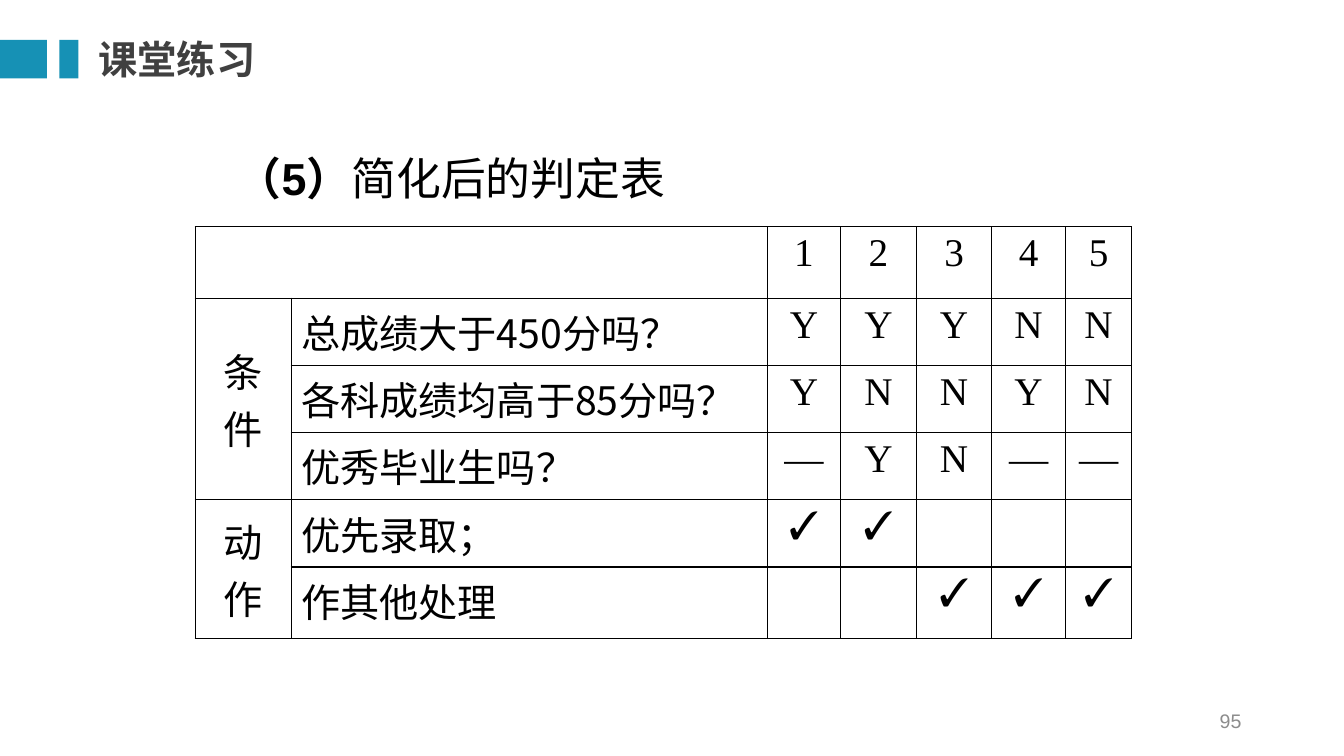
from lxml import etree
from pptx import Presentation
from pptx.dml.color import RGBColor
from pptx.enum.shapes import MSO_SHAPE
from pptx.enum.text import MSO_ANCHOR, MSO_AUTO_SIZE, PP_ALIGN
from pptx.oxml.ns import qn
from pptx.util import Pt

RECTANGLE = MSO_SHAPE.RECTANGLE
TOP, MIDDLE = MSO_ANCHOR.TOP, MSO_ANCHOR.MIDDLE
LEFT, CENTER, RIGHT = PP_ALIGN.LEFT, PP_ALIGN.CENTER, PP_ALIGN.RIGHT
NO_FIT = MSO_AUTO_SIZE.NONE

HAN, SERIF, SANS, LATIN = "Noto Sans CJK SC", "Times New Roman", "Arial", "Calibri"


def color(value):
    return RGBColor.from_string(value)


def write(paragraph, text, font=HAN, east_asian=HAN, size=28, ink="000000",
          bold=False, align=LEFT):
    paragraph.alignment = align
    run = paragraph.add_run()
    run.text = text
    run.font.size = Pt(size)
    run.font.bold = bold
    run.font.color.rgb = color(ink)
    run.font.name = font
    properties = run._r.get_or_add_rPr()
    etree.SubElement(properties, qn("a:ea"), typeface=east_asian)


class SlideBuilder:
    accent = "1691B5"
    heading_ink = "404040"
    number_ink = "8C8C8C"
    border_ink = "000000"

    def __init__(self, slide):
        self.slide = slide

    def place(self, shape, left, top, width, height, anchor, inset=None):
        shape.left, shape.top = Pt(left), Pt(top)
        shape.width, shape.height = Pt(width), Pt(height)
        frame = shape.text_frame
        frame.word_wrap = True
        frame.auto_size = NO_FIT
        frame.vertical_anchor = anchor
        if inset is not None:
            frame.margin_left = frame.margin_right = Pt(inset)
            frame.margin_top = frame.margin_bottom = Pt(inset)
        return frame.paragraphs[0]

    def title(self, text, *box):
        heading = self.place(self.slide.shapes.title, *box, MIDDLE, inset=0)
        write(heading, text, ink=self.heading_ink, bold=True)

    def body(self, number, text, *box):
        caption = self.place(self.slide.placeholders[1], *box, TOP)
        properties = caption._p.get_or_add_pPr()
        properties.set("marL", "0")
        properties.set("indent", "0")
        etree.SubElement(properties, qn("a:buNone"))
        caption.line_spacing = 1.2
        caption.space_before = Pt(0)
        write(caption, number, font=SANS, size=32, bold=True)
        write(caption, text, font=LATIN, size=32)

    def block(self, *box):
        bar = self.slide.shapes.add_shape(RECTANGLE, *map(Pt, box))
        bar.shadow.inherit = False
        bar.fill.solid()
        bar.fill.fore_color.rgb = color(self.accent)
        bar.line.fill.background()

    def page_number(self, text, *box):
        holder = self.slide.shapes.add_textbox(*map(Pt, box))
        write(self.place(holder, *box, MIDDLE), text, font=SANS, size=14,
              ink=self.number_ink, align=RIGHT)

    def outline(self, cell):
        properties = cell._tc.get_or_add_tcPr()
        for side in ("lnL", "lnR", "lnT", "lnB"):
            edge = etree.SubElement(properties, qn(f"a:{side}"), w=str(Pt(1)))
            fill = etree.SubElement(edge, qn("a:solidFill"))
            etree.SubElement(fill, qn("a:srgbClr"), val=self.border_ink)
        cell.fill.background()

    def table(self, left, top, widths, heights):
        frame = self.slide.shapes.add_table(
            len(heights), len(widths), Pt(left), Pt(top), Pt(sum(widths)), Pt(sum(heights)))
        grid = frame.table
        grid.first_row = grid.horz_banding = False
        for column, width in zip(grid.columns, widths):
            column.width = Pt(width)
        for row, height in zip(grid.rows, heights):
            row.height = Pt(height)
        for cell in grid.iter_cells():
            self.outline(cell)
        return grid


RULES = [
    ("", "12345"),
    ("总成绩大于450分吗？", "YYYNN"),
    ("各科成绩均高于85分吗？", "YNNYN"),
    ("优秀毕业生吗？", "—YN——"),
    ("优先录取；", "✓✓   "),
    ("作其他处理", "  ✓✓✓"),
]
GROUPS = [("条件", 1, 3), ("动作", 4, 5)]


def fill_decision_table(grid):
    grid.cell(0, 0).merge(grid.cell(0, 1))
    for row, (statement, marks) in enumerate(RULES):
        if statement:
            write(grid.cell(row, 1).text_frame.paragraphs[0], statement)
        for column, mark in enumerate(marks, start=2):
            if mark != " ":
                write(grid.cell(row, column).text_frame.paragraphs[0], mark,
                      font=SERIF, east_asian=SERIF, align=CENTER)
    for label, first, last in GROUPS:
        heading = grid.cell(first, 0)
        heading.merge(grid.cell(last, 0))
        heading.vertical_anchor = MIDDLE
        frame = heading.text_frame
        frame.add_paragraph()
        for paragraph, character in zip(frame.paragraphs, label):
            write(paragraph, character, align=CENTER)


def main():
    deck = Presentation()
    deck.slide_width, deck.slide_height = Pt(960), Pt(540)
    builder = SlideBuilder(deck.slides.add_slide(deck.slide_layouts[1]))
    builder.body("（5）", "简化后的判定表", 162, 96, 475, 66)
    decisions = builder.table(139.5, 162, [68.5, 340, 52.5, 54, 54, 52.5, 47.5],
                              [51, 48, 48, 48, 48, 51])
    fill_decision_table(decisions)
    for left, width in ((0, 33.5), (42.5, 13.5)):
        builder.block(left, 28.5, width, 27.5)
    builder.title("课堂练习", 70.5, 22.5, 312.5, 39.5)
    builder.page_number("95", 678, 500.5, 216, 28.5)
    deck.save("out.pptx")


if __name__ == "__main__":
    main()
